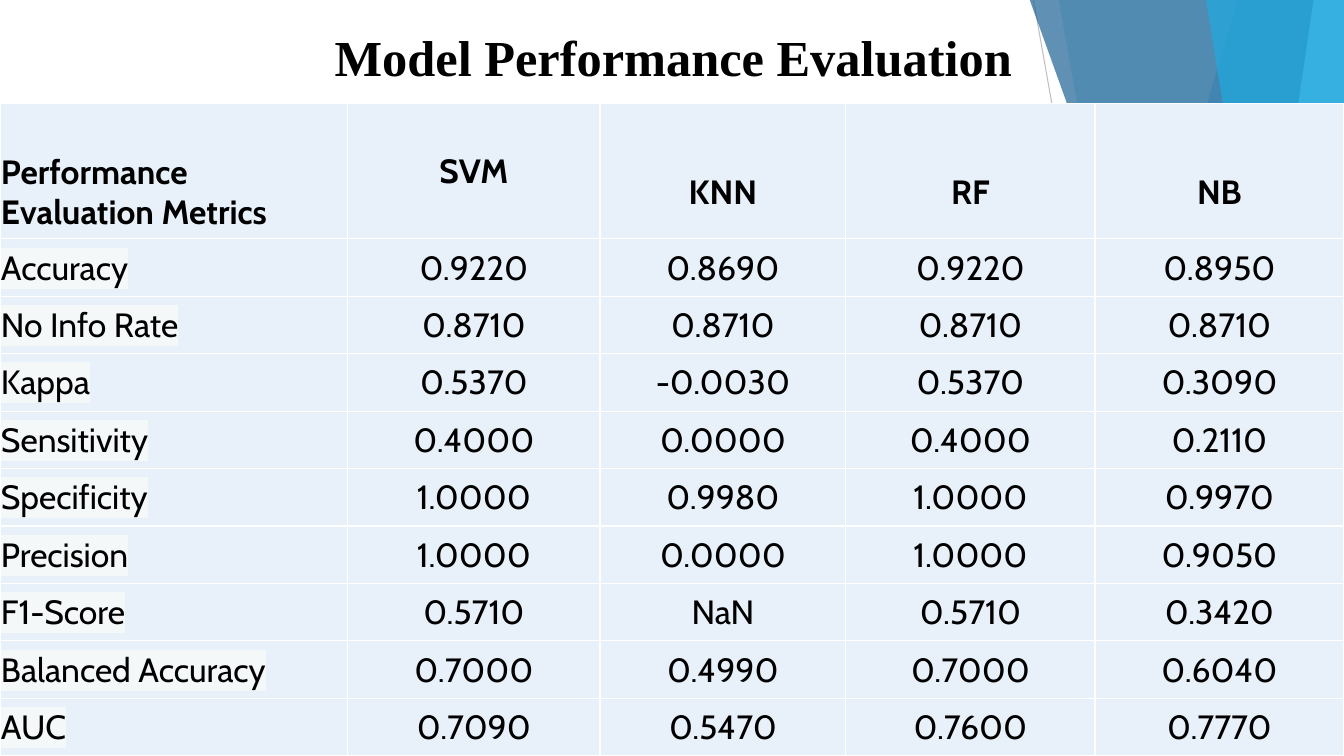
from dataclasses import dataclass

from pptx import Presentation
from pptx.dml.color import RGBColor as Rgb
from pptx.enum.shapes import MSO_CONNECTOR as Connector, MSO_SHAPE as Preset
from pptx.enum.text import MSO_ANCHOR as Anchor, PP_ALIGN as Align
from pptx.oxml.ns import qn
from pptx.oxml.xmlchemy import OxmlElement as Element
from pptx.util import Pt

PX = 9144
WIDTH, HEIGHT = 1333, 750


@dataclass(frozen=True)
class Theme:
    """Colours, fonts and sizes of the slide."""
    text: str = "000000"
    cell: str = "E8F1FA"
    border: str = "FFFFFF"
    highlight: str = "F4F8F9"
    grey: str = "BFBFBF"
    pale_grey: str = "D9D9D9"
    cyan: str = "1CADE4"
    light_cyan: str = "77CEEF"
    blue: str = "2683C6"
    dark_blue: str = "1D6294"
    title_font: str = "Times New Roman"
    body_font: str = "Cabin"
    title_size: int = 36
    body_size: int = 24
    rule_width: float = 0.75
    border_width: int = 1


THEME = Theme()
COLUMNS = [345, 250, 244, 247, 247]
HEADER_HEIGHT, ROW_HEIGHT, TABLE_TOP = 134, 57, 103
HEADER_DROP = 41
ROWS = [
    ["Performance Evaluation Metrics", "SVM", "KNN", "RF", "NB"],
    ["Accuracy", "0.9220", "0.8690", "0.9220", "0.8950"],
    ["No Info Rate", "0.8710", "0.8710", "0.8710", "0.8710"],
    ["Kappa", "0.5370", "-0.0030", "0.5370", "0.3090"],
    ["Sensitivity", "0.4000", "0.0000", "0.4000", "0.2110"],
    ["Specificity", "1.0000", "0.9980", "1.0000", "0.9970"],
    ["Precision", "1.0000", "0.0000", "1.0000", "0.9050"],
    ["F1-Score", "0.5710", "NaN", "0.5710", "0.3420"],
    ["Balanced Accuracy", "0.7000", "0.4990", "0.7000", "0.6040"],
    ["AUC", "0.7090", "0.5470", "0.7600", "0.7770"],
]


def px(*lengths):
    """Turn pixel lengths into EMU."""
    return [length * PX for length in lengths]


def solid_element(tag, color):
    """Make an XML element that holds one RGB colour."""
    element = Element(tag)
    rgb = Element("a:srgbClr")
    rgb.set("val", color)
    element.append(rgb)
    return element


def paint(shape, color, opacity):
    """Give a shape a translucent fill, no outline and no shadow."""
    shape.shadow.inherit = False
    shape.line.fill.background()
    shape.fill.solid()
    shape.fill.fore_color.rgb = Rgb.from_string(color)
    alpha = Element("a:alpha")
    alpha.set("val", str(opacity * 1000))
    shape._element.spPr.find(qn("a:solidFill"))[0].append(alpha)


def add_rule(slide, start, end, color):
    """Draw a thin straight line."""
    rule = slide.shapes.add_connector(Connector.STRAIGHT, *px(*start, *end))
    rule.line.color.rgb = Rgb.from_string(color)
    rule.line.width = Pt(THEME.rule_width)
    rule._element.spPr.append(Element("a:effectLst"))


def add_band(slide, top_left, bottom_left, color, opacity):
    """Draw a full-height band with a slanted left side at the right edge."""
    builder = slide.shapes.build_freeform(top_left, -1, scale=PX)
    builder.add_line_segments([(WIDTH, -1), (WIDTH, HEIGHT), (bottom_left, HEIGHT)])
    paint(builder.convert_to_shape(), color, opacity)


def add_corner(slide, left, top, width, apex, color, opacity):
    """Draw a right triangle that stands on the bottom edge."""
    box = px(left, top, width, HEIGHT - top)
    corner = slide.shapes.add_shape(Preset.ISOSCELES_TRIANGLE, *box)
    corner.adjustments[0] = apex
    paint(corner, color, opacity)


def write(frame, text, *, font, size, bold=False, align=Align.LEFT,
          highlight=None, spacing=None):
    """Write one formatted paragraph into a text frame."""
    frame.word_wrap = True
    para = frame.paragraphs[0]
    para.alignment = align
    if spacing:
        para.line_spacing = spacing
    span = para.add_run()
    span.text = text
    span.font.name, span.font.size, span.font.bold = font, Pt(size), bold
    span.font.color.rgb = Rgb.from_string(THEME.text)
    if highlight:
        fill = span._r.rPr.find(qn("a:solidFill"))
        fill.addnext(solid_element("a:highlight", highlight))


def style_cell(cell, drop):
    """Set the borders, fill and margins of a cell, its text lowered by drop."""
    properties = cell._tc.get_or_add_tcPr()
    for side in "LRTB":
        border = Element(f"a:ln{side}")
        border.set("w", str(Pt(THEME.border_width)))
        border.append(solid_element("a:solidFill", THEME.border))
        properties.append(border)
    cell.fill.solid()
    cell.fill.fore_color.rgb = Rgb.from_string(THEME.cell)
    cell.vertical_anchor = Anchor.MIDDLE
    cell.margin_left, cell.margin_right, cell.margin_top = px(1, 1, 1 + drop)
    cell.margin_bottom = 0


def add_backdrop(slide):
    """Draw the faceted decoration."""
    add_rule(slide, (1025, 0), (1158, HEIGHT), THEME.grey)
    add_rule(slide, (WIDTH, 403), (812, HEIGHT), THEME.pale_grey)
    add_band(slide, 1228, 1004, THEME.cyan, 30)
    add_band(slide, 1050, 1183, THEME.cyan, 20)
    add_corner(slide, 977, 333, 356, 1, THEME.blue, 72)
    add_band(slide, 1021, 1291, THEME.dark_blue, 70)
    add_band(slide, 1303, 1192, THEME.light_cyan, 70)
    add_band(slide, 1196, 1318, THEME.cyan, 65)
    add_corner(slide, 1134, 393, 199, 1, THEME.cyan, 80)
    add_corner(slide, 0, 439, 49, 0, THEME.cyan, 85)


def add_title(slide, text):
    """Add the slide title."""
    frame = slide.shapes.add_textbox(*px(74, 17, 1188, 86)).text_frame
    frame.vertical_anchor = Anchor.MIDDLE
    write(frame, text, font=THEME.title_font, size=THEME.title_size,
          bold=True, align=Align.CENTER, spacing=0.9)


def add_metrics_table(slide):
    """Add the table of metrics by model."""
    heights = [HEADER_HEIGHT] + [ROW_HEIGHT] * (len(ROWS) - 1)
    box = px(0, TABLE_TOP, sum(COLUMNS), sum(heights))
    table = slide.shapes.add_table(len(ROWS), len(COLUMNS), *box).table
    table.first_row = table.horz_banding = False
    for column, width in zip(table.columns, px(*COLUMNS)):
        column.width = width
    for row, height in zip(table.rows, px(*heights)):
        row.height = height
    for row_index, values in enumerate(ROWS):
        for column_index, value in enumerate(values):
            header, label = row_index == 0, column_index == 0
            cell = table.cell(row_index, column_index)
            style_cell(cell, HEADER_DROP if header and value != "SVM" else 0)
            write(cell.text_frame, value, font=THEME.body_font,
                  size=THEME.body_size, bold=header,
                  align=Align.LEFT if label else Align.CENTER,
                  highlight=THEME.highlight if label and not header else None)


def main():
    """Build and save the deck."""
    deck = Presentation()
    deck.slide_width, deck.slide_height = px(WIDTH, HEIGHT)
    page = deck.slides.add_slide(deck.slide_layouts[6])
    add_backdrop(page)
    add_title(page, "Model Performance Evaluation")
    add_metrics_table(page)
    deck.save("out.pptx")


if __name__ == "__main__":
    main()
